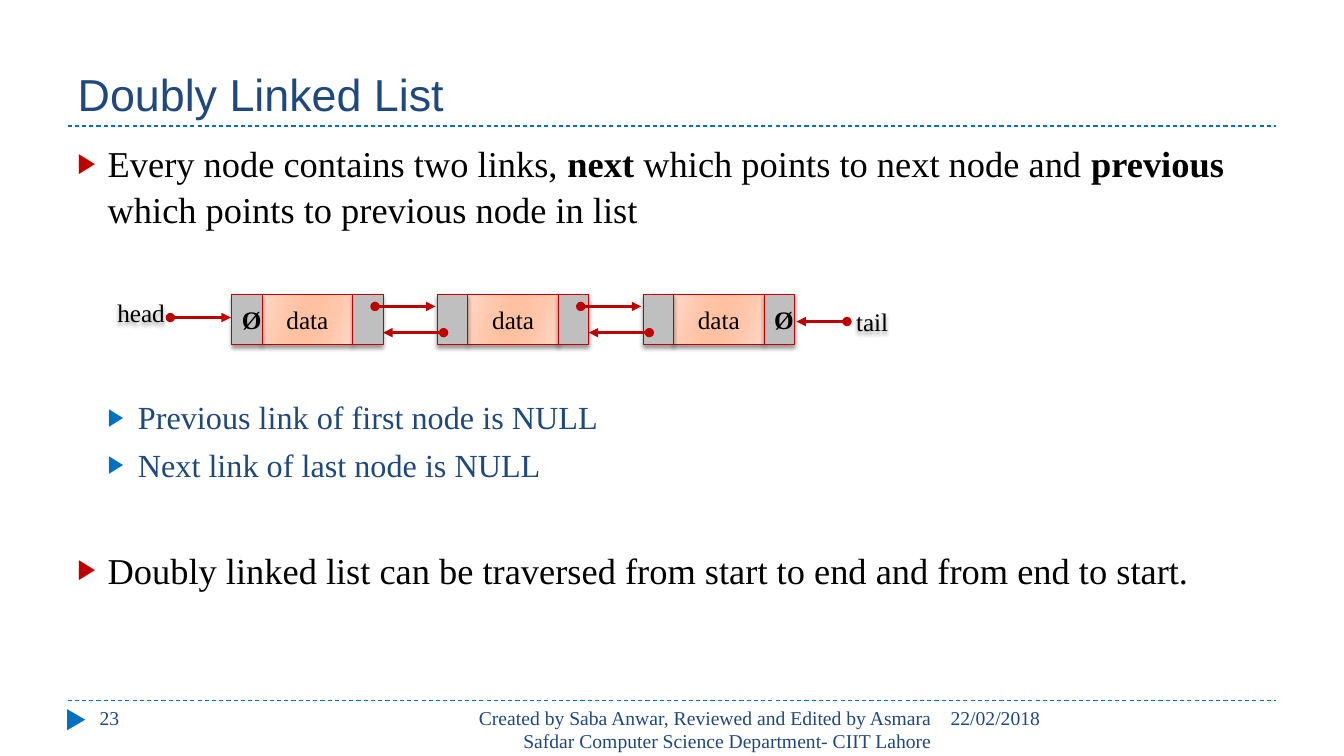
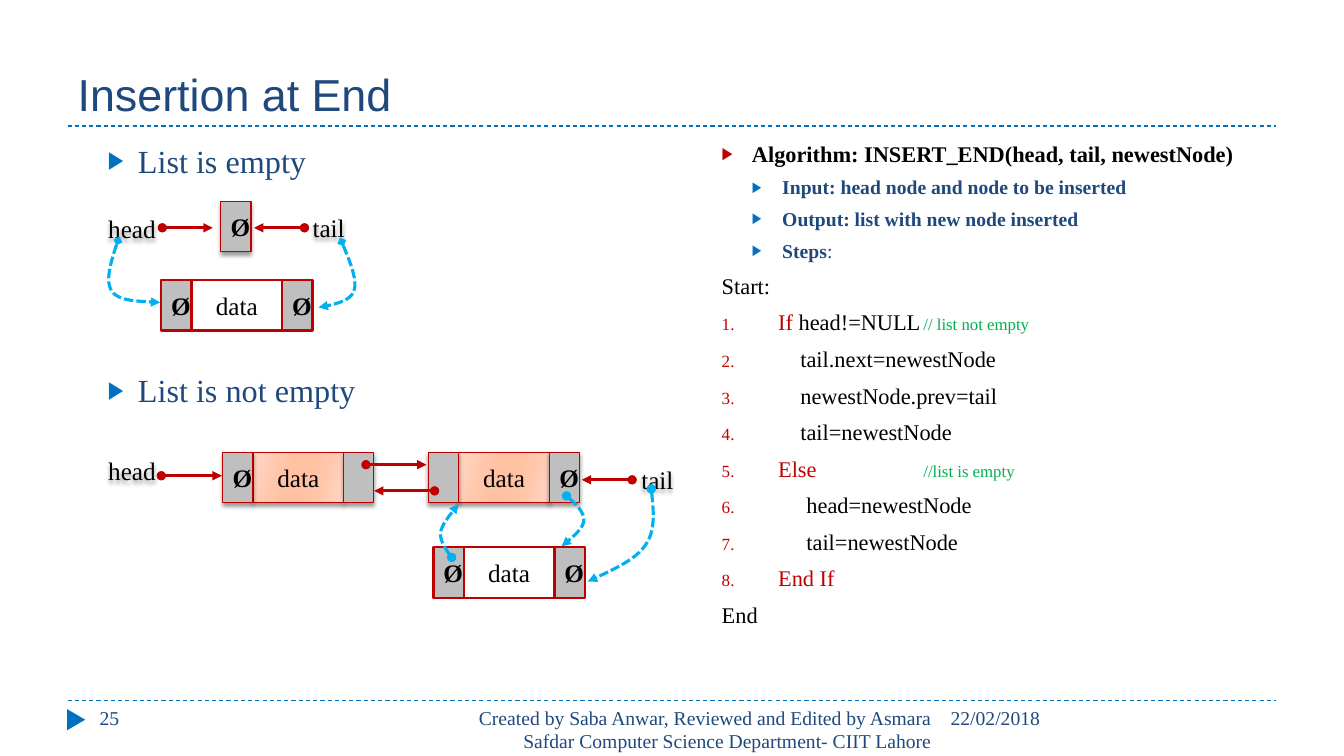
from lxml import etree
from pptx import Presentation, util as u
from pptx.dml.color import RGBColor
from pptx.enum import dml, shapes, text
from pptx.oxml import ns, parse_xml

W, H = 13.33, 7.5
NAVY = RGBColor(0x1F, 0x49, 0x7D)
BLUE = RGBColor(0x00, 0x70, 0xC0)
SKY = RGBColor(0x00, 0xB0, 0xF0)
RED = RGBColor(0xC0, 0x00, 0x00)
GREEN = RGBColor(0x00, 0xB0, 0x50)
GREY = RGBColor(0xBF, 0xBF, 0xBF)
BLACK = RGBColor(0, 0, 0)
WHITE = RGBColor(0xFF, 0xFF, 0xFF)
PEACH = [(0, 'FFD7C5'), (30, 'FFC6AA'), (45, 'FFC1A1'),
         (55, 'FFC1A1'), (73, 'FFC6AA'), (100, 'FFD7C5')]
SERIF, SANS = 'Times New Roman', 'Arial'
MARGIN = 0.67
RULES = (1.25, 6.95)
CELL, DATA, NODE_H, PITCH = 0.3, 0.9, 0.5, 2.04
NODE = 2 * CELL + DATA
LABEL_W, LABEL_H = 0.7, 0.3
CENTER, RIGHT = text.PP_ALIGN.CENTER, text.PP_ALIGN.RIGHT
MIDDLE = text.MSO_ANCHOR.MIDDLE
FOOTER = ('Created by Saba Anwar, Reviewed and Edited by Asmara '
          'Safdar Computer Science Department- CIIT Lahore')


def inches(*values):
    return [u.Inches(v) for v in values]


def child(parent, tag, **attrs):
    el = etree.SubElement(parent, ns.qn('a:' + tag))
    for name, value in attrs.items():
        el.set(name, str(value))
    return el


def add_run(p, words, size, color, bold=False, font=SERIF):
    r = p.add_run()
    r.text = words
    r.font.size, r.font.name, r.font.bold = u.Pt(size), font, bold
    r.font.color.rgb = color


def add_shadow(sp):
    effects = sp._element.spPr.find(ns.qn('a:effectLst'))
    if effects is None:
        effects = child(sp._element.spPr, 'effectLst')
    shadow = child(effects, 'outerShdw', blurRad=u.Pt(3), dist=u.Pt(2),
                   dir=5400000, rotWithShape=0)
    child(child(shadow, 'srgbClr', val='000000'), 'alpha', val=40000)


def add_text(s, box, words, size=14, color=NAVY, align=None):
    sp = s.shapes.add_textbox(*inches(*box))
    tf = sp.text_frame
    tf.word_wrap = True
    p = tf.paragraphs[0]
    p.alignment = align
    add_run(p, words, size, color)
    return sp


def add_label(s, x, y, words):
    sp = add_text(s, (x, y, LABEL_W, LABEL_H), words, 18, BLACK, CENTER)
    sp.text_frame.vertical_anchor = MIDDLE
    add_shadow(sp)


def add_ends(line, head, tail):
    ln = line._get_or_add_ln()
    child(ln, 'headEnd', type=head)
    child(ln, 'tailEnd', type=tail)


def add_line(s, x1, y1, x2, y2, color, width):
    line = s.shapes.add_connector(shapes.MSO_CONNECTOR.STRAIGHT, *inches(x1, y1, x2, y2))
    line.line.color.rgb, line.line.width = color, u.Pt(width)
    child(line._element.spPr, 'effectLst')
    return line


def add_arrow(s, x1, x2, y):
    add_ends(add_line(s, x1, y, x2, y, RED, 2.25).line, 'oval', 'triangle')


def add_curve(s, head, start, *beziers):
    points, steps = [start], 12
    for a, b, end in beziers:
        origin = points[-1]
        for i in range(1, steps + 1):
            t = i / steps
            weights = ((1 - t) ** 3, 3 * t * (1 - t) ** 2, 3 * t * t * (1 - t), t ** 3)
            points.append(tuple(sum(w * q[axis] for w, q in zip(weights, (origin, a, b, end)))
                                for axis in (0, 1)))
    points = [inches(*q) for q in points]
    builder = s.shapes.build_freeform(*points[0], scale=1)
    builder.add_line_segments(points[1:], close=False)
    sp = builder.convert_to_shape()
    sp.shadow.inherit = False
    sp.fill.background()
    sp.line.color.rgb, sp.line.width = SKY, u.Pt(2.25)
    sp.line.dash_style = dml.MSO_LINE.SQUARE_DOT
    add_ends(sp.line, head, 'triangle')


def fill_peach(sp):
    stops = ''.join(f'<a:gs pos="{pos * 1000}"><a:srgbClr val="{color}"/></a:gs>'
                    for pos, color in PEACH)
    gradient = parse_xml(f'<a:gradFill {ns.nsdecls("a")} rotWithShape="1"><a:gsLst>{stops}'
                         '</a:gsLst><a:lin ang="960000" scaled="0"/></a:gradFill>')
    sp._element.spPr.find(ns.qn('a:prstGeom')).addnext(gradient)


def add_cell(s, x, y, width, words='', fill=GREY, new=False):
    sp = s.shapes.add_shape(shapes.MSO_SHAPE.RECTANGLE, *inches(x, y, width, NODE_H))
    sp.shadow.inherit = False
    if fill is None:
        fill_peach(sp)
    else:
        sp.fill.solid()
        sp.fill.fore_color.rgb = fill
    sp.line.color.rgb, sp.line.width = RED, u.Pt(1.5 if new else 0.75)
    if not new:
        add_shadow(sp)
    if words:
        sp.text_frame.vertical_anchor = MIDDLE
        p = sp.text_frame.paragraphs[0]
        p.alignment = CENTER
        add_run(p, words, 18, BLACK, words == 'Ø')


def add_node(s, x, y, previous='', following='', new=False):
    add_cell(s, x + CELL, y, DATA, 'data', WHITE if new else None, new)
    add_cell(s, x, y, CELL, previous, new=new)
    add_cell(s, x + CELL + DATA, y, CELL, following, new=new)


def add_linked_list(s, x, y, count):
    starts = [x + i * PITCH for i in range(count)]
    for i, left in enumerate(starts):
        add_node(s, left, y, '' if i else 'Ø', 'Ø' if i == count - 1 else '')
    for left, right in zip(starts, starts[1:]):
        add_arrow(s, right + 0.06, right - 0.54, y + 0.38)
        add_arrow(s, left + 1.42, left + 2.02, y + 0.12)
    add_label(s, x - 1.25, y + 0.03, 'head')
    add_arrow(s, x - 0.61, x - 0.01, y + 0.23)
    end = starts[-1] + NODE
    add_arrow(s, end + 0.52, end + 0.02, y + 0.27)
    add_label(s, end + 0.42, y + 0.12, 'tail')


def add_empty_list(s, x, y):
    add_cell(s, x, y, CELL, 'Ø')
    add_arrow(s, x - 0.58, x - 0.08, y + 0.26)
    add_arrow(s, x + 0.83, x + 0.33, y + 0.26)
    add_label(s, x - 1.23, y + 0.12, 'head')
    add_label(s, x + 0.72, y + 0.11, 'tail')


def add_body(s, box, items):
    tf = s.shapes.add_textbox(*inches(*box)).text_frame
    tf.word_wrap = True
    for i, (style, before, runs) in enumerate(items):
        p = tf.paragraphs[0] if i == 0 else tf.add_paragraph()
        p.space_before, p.line_spacing = u.Pt(before), 1.05
        left, hang, color, bullet = STYLES[style]
        pPr = p._p.get_or_add_pPr()
        pPr.set('marL', str(u.Inches(left)))
        pPr.set('indent', str(-u.Inches(hang)))
        if bullet:
            child(child(pPr, 'buClr'), 'srgbClr', val=color)
            child(pPr, 'buSzPct', val=76000)
            child(pPr, 'buFont', typeface=SERIF)
        if bullet == '1.':
            child(pPr, 'buAutoNum', type='arabicPeriod')
        elif bullet:
            child(pPr, 'buChar', char=bullet)
        else:
            child(pPr, 'buNone')
        for r in runs:
            add_run(p, *r)


STYLES = {
    'main': (0.3, 0.3, RED, '▶'),
    'sub': (0.6, 0.3, BLUE, '▶'),
    'plain': (0, 0, BLACK, None),
    'step': (0.56, 0.56, RED, '1.'),
    'inner': (0.78, 0.78, RED, '1.'),
    'deeper': (0.84, 0.84, RED, '1.'),
}


def add_frame(prs, title, number):
    s = prs.slides.add_slide(prs.slide_layouts[5])
    for y in RULES:
        add_line(s, MARGIN, y, W - MARGIN, y, BLUE, 0.75).line.dash_style = dml.MSO_LINE.DASH
    marker = s.shapes.add_shape(shapes.MSO_SHAPE.ISOSCELES_TRIANGLE,
                                *inches(0.65, 7.05, 0.21, 0.18))
    marker.rotation = 90
    marker.shadow.inherit = False
    marker.fill.solid()
    marker.fill.fore_color.rgb = BLUE
    marker.line.fill.background()
    sp = s.shapes.title
    sp.left, sp.top, sp.width, sp.height = inches(MARGIN, 0.17, W - 2 * MARGIN, 1.08)
    sp.text_frame.vertical_anchor = text.MSO_ANCHOR.BOTTOM
    p = sp.text_frame.paragraphs[0]
    p.alignment = text.PP_ALIGN.LEFT
    add_run(p, title, 32, NAVY, font=SANS)
    add_text(s, (9.33, RULES[1], 3.34, 0.4), '22/02/2018')
    add_text(s, (4.23, RULES[1], 5.11, 0.4), FOOTER, align=RIGHT)
    add_text(s, (0.89, RULES[1], 2.89, 0.4), number)
    return s


def doubly_linked_slide(prs):
    s = add_frame(prs, 'Doubly Linked List', '23')
    add_body(s, (MARGIN, 1.33, 12, 5.4), [
        ('main', 6, [('Every node contains two links, ', 26, BLACK),
                     ('next', 26, BLACK, True),
                     (' which points to next node and ', 26, BLACK),
                     ('previous', 26, BLACK, True),
                     (' which points to previous node in list', 26, BLACK)]),
        ('sub', 118, [('Previous link of first node is NULL', 23, NAVY)]),
        ('sub', 5, [('Next link of last node is NULL', 23, NAVY)]),
        ('main', 44, [('Doubly linked list can be traversed from start to end '
                       'and from end to start.', 26, BLACK)]),
    ])
    add_linked_list(s, 2.3, 2.92, 3)


def add_algorithm(s, box):
    def code(style, words):
        return style, 6, [(words, 16, BLACK)]

    def heading(words, *more):
        return 'sub', 5, [(words, 14, NAVY, True), *more]

    add_body(s, box, [
        ('main', 6, [('Algorithm: INSERT_END(head, tail, newestNode)', 16, BLACK, True)]),
        heading('Input: head node and node to be inserted'),
        heading('Output: list with new node inserted'),
        heading('Steps', (':', 14, NAVY)),
        code('plain', 'Start:'),
        ('step', 6, [('If', 16, RED), (' head!=NULL\t', 16, BLACK),
                     ('// list not empty', 12, GREEN)]),
        code('inner', 'tail.next=newestNode'),
        code('inner', 'newestNode.prev=tail'),
        code('inner', 'tail=newestNode'),
        ('step', 6, [('Else\t\t\t', 16, RED), ('//list is empty', 12, GREEN)]),
        code('deeper', 'head=newestNode'),
        code('deeper', 'tail=newestNode'),
        ('step', 6, [('End If', 16, RED)]),
        code('plain', 'End'),
    ])


def insertion_slide(prs):
    s = add_frame(prs, 'Insertion at End', '25')
    add_body(s, (MARGIN, 1.33, 5.03, 5.4), [
        ('sub', 5, [('List is empty', 23, NAVY)]),
        ('sub', 135, [('List is not empty', 23, NAVY)]),
    ])
    add_algorithm(s, (7.06, 1.33, 5.61, 5.4))
    add_empty_list(s, 2.19, 2)
    add_node(s, 1.6, 2.78, 'Ø', 'Ø', new=True)
    add_linked_list(s, 2.21, 4.49, 2)
    add_node(s, 4.3, 5.43, 'Ø', 'Ø', new=True)
    add_curve(s, 'diamond', (1.17, 2.39), ((1.1, 2.59), (1.04, 2.79), (1.11, 2.89)),
              ((1.18, 2.99), (1.38, 2.99), (1.59, 3)))
    add_curve(s, 'diamond', (3.39, 2.4), ((3.47, 2.59), (3.55, 2.78), (3.51, 2.89)),
              ((3.47, 2.99), (3.32, 3.02), (3.16, 3.05)))
    add_curve(s, 'oval', (5.62, 4.92), ((5.71, 5), (5.8, 5.08), (5.79, 5.17)),
              ((5.78, 5.25), (5.67, 5.34), (5.57, 5.42)))
    add_curve(s, 'oval', (4.48, 5.53), ((4.42, 5.45), (4.36, 5.36), (4.37, 5.28)),
              ((4.39, 5.19), (4.47, 5.1), (4.55, 5)))
    add_curve(s, 'oval', (6.46, 4.85), ((6.48, 5.05), (6.51, 5.26), (6.4, 5.41)),
              ((6.3, 5.56), (6.06, 5.66), (5.83, 5.77)))


prs = Presentation()
prs.slide_width, prs.slide_height = inches(W, H)
doubly_linked_slide(prs)
insertion_slide(prs)
prs.save("out.pptx")
